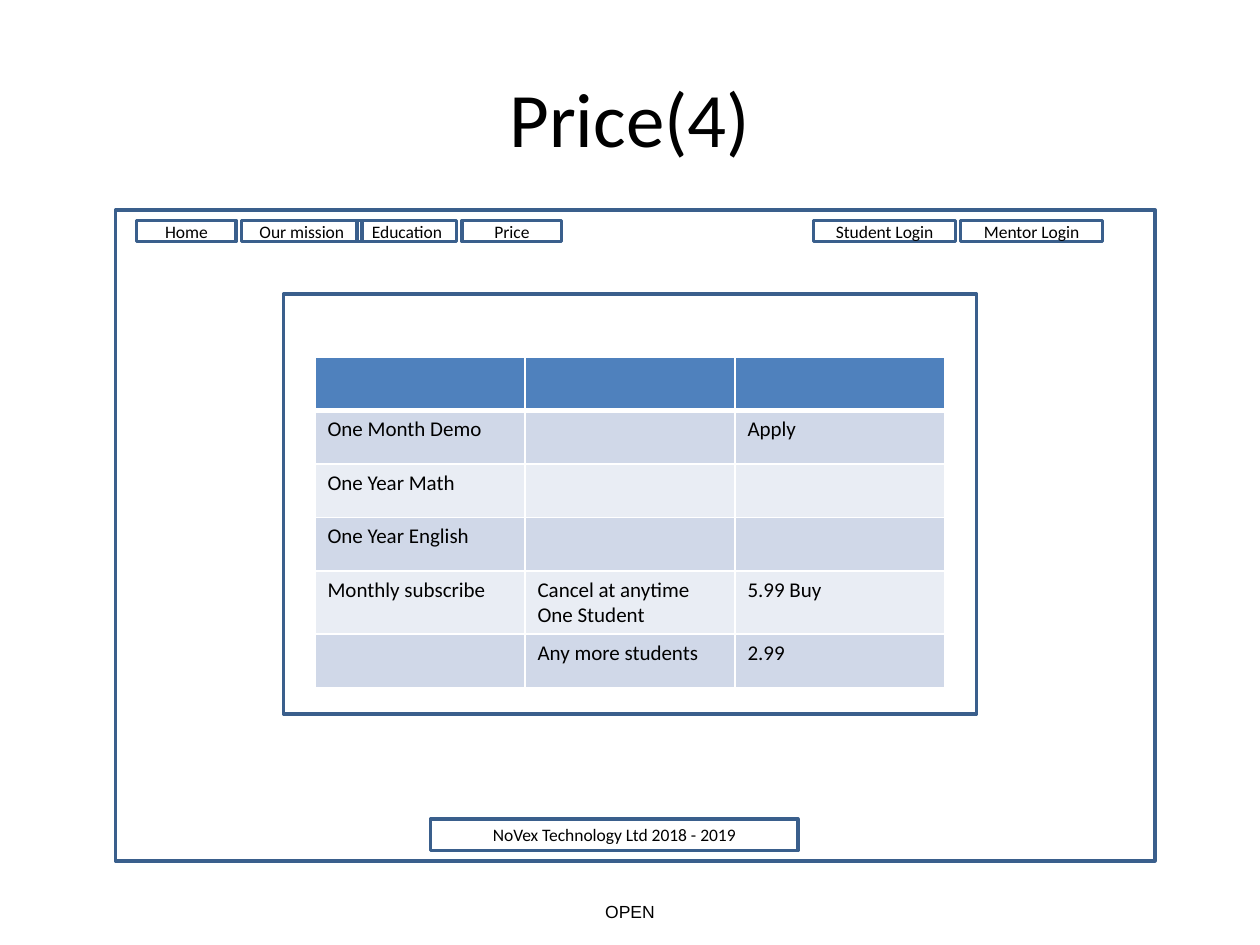
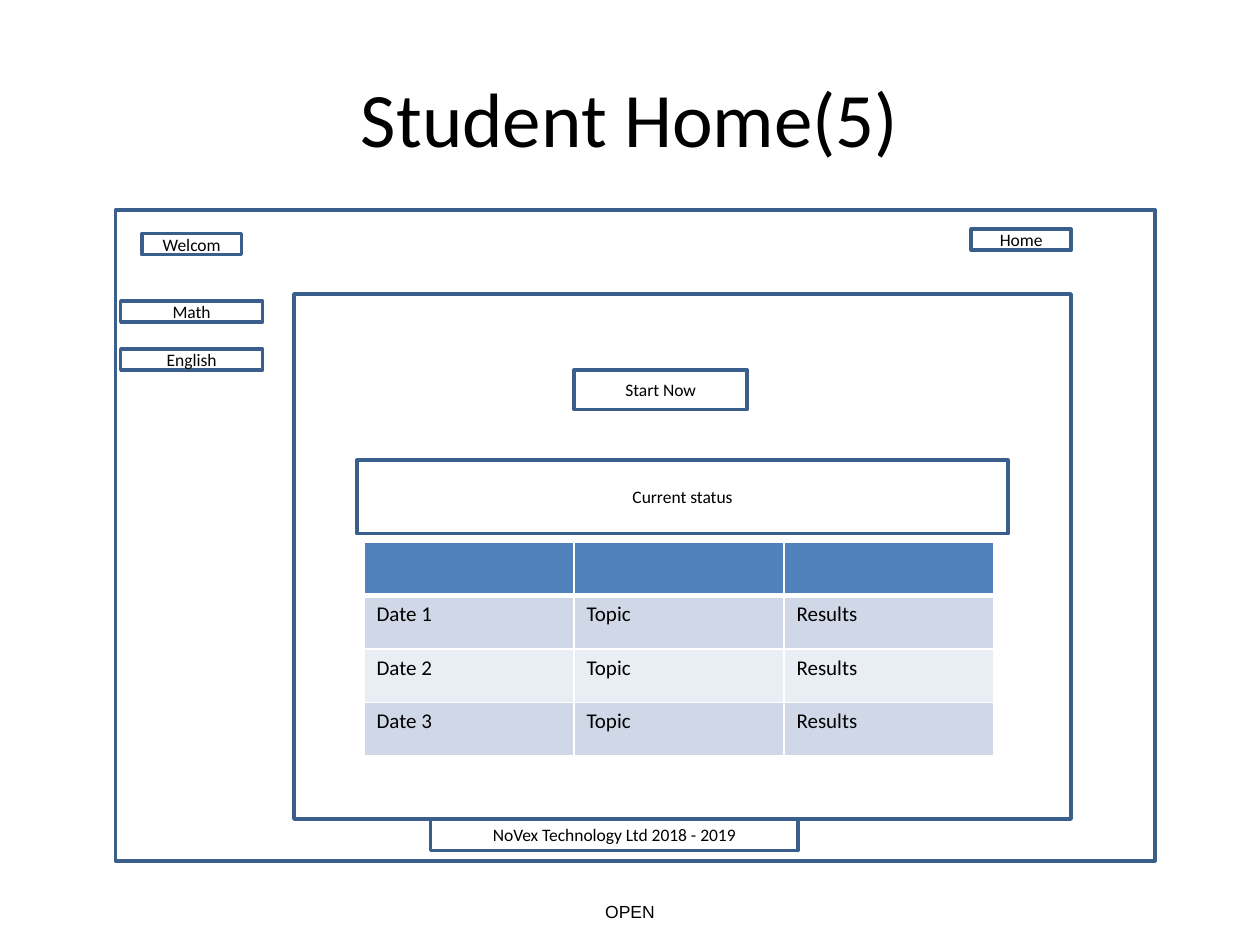
from lxml import etree
from pptx import Presentation
from pptx import util as u
from pptx.dml import color
from pptx.enum import shapes, text
from pptx.oxml import ns

COLORS = {"ink": "000000", "line": "3A5F8C", "head": "4F81BD",
          "odd": "D0D8E8", "even": "E9EDF4", "rule": "FFFFFF"}
FORMATS = {
    "title": {"name": "Calibri", "size": u.Pt(44)},
    "label": {"name": "Calibri", "size": u.Pt(10)},
    "cell": {"name": "Calibri", "size": u.Pt(12)},
    "marking": {"name": "Arial", "size": u.Pt(10)},
}
CENTER = text.PP_ALIGN.CENTER
TOP, MIDDLE = text.MSO_ANCHOR.TOP, text.MSO_ANCHOR.MIDDLE
COLUMN_WIDTH, ROW_HEIGHT = 120, 30.6
BUTTON_HEIGHT = 12

# Shared parts: left, top, width, height in points
TITLE_AT = (36, 21.6, 648, 90)
MARKING = ("OPEN", (0, 511.2, 720, 31.7))
PAGE_FRAME = ("", (66, 120, 594, 372))
COPYRIGHT = ("NoVex Technology Ltd 2018 - 2019", (246, 468, 210, 18))

# Content: boxes from back to front, then the table
SLIDES = [
    {
        "title": "Price(4)",
        "boxes": [
            ("Home", (78, 126, 57, BUTTON_HEIGHT)),
            ("Our mission", (138, 126, 69, BUTTON_HEIGHT)),
            ("Education", (204, 126, 57, BUTTON_HEIGHT)),
            ("Price", (264, 126, 57, BUTTON_HEIGHT)),
            ("Student Login", (465, 126, 81, BUTTON_HEIGHT)),
            ("Mentor Login", (549, 126, 81, BUTTON_HEIGHT)),
            ("", (162, 168, 396, 240)),
        ],
        "table_at": (180, 204),
        "rows": [
            ("", "", ""),
            ("One Month Demo", "", "Apply"),
            ("One Year Math", "", ""),
            ("One Year English", "", ""),
            ("Monthly subscribe", "Cancel at anytime\nOne Student", "5.99 Buy"),
            ("", "Any more students", "2.99"),
        ],
    },
    {
        "title": "Student Home(5)",
        "boxes": [
            ("Home", (555, 131, 57, BUTTON_HEIGHT)),
            ("Start Now", (328, 211.5, 99, 22.5)),
            ("Math", (69, 172, 81, BUTTON_HEIGHT)),
            ("English", (69, 199.5, 81, BUTTON_HEIGHT)),
            ("Welcom", (81, 133.5, 57, BUTTON_HEIGHT)),
            ("", (168, 168, 444, 300)),
            ("Current status", (204, 263, 372, 42)),
        ],
        "table_at": (208, 309.6),
        "rows": [("", "", "")] + [(f"Date {n}", "Topic", "Results") for n in (1, 2, 3)],
    },
]


def rgb(key):
    return color.RGBColor.from_string(COLORS[key])


def points(values):
    return [u.Pt(v) for v in values]


def write(tf, content, style, align=None):
    tf.text = content
    for p in tf.paragraphs:
        p.alignment = align
        for r in p.runs:
            for name, value in FORMATS[style].items():
                setattr(r.font, name, value)
            r.font.color.rgb = rgb("ink")


def add_text(slide, content, at, style, anchor):
    tf = slide.shapes.add_textbox(*points(at)).text_frame
    tf.word_wrap = True
    tf.vertical_anchor = anchor
    write(tf, content, style, CENTER)


def add_box(slide, content, at):
    sp = slide.shapes.add_shape(shapes.MSO_SHAPE.RECTANGLE, *points(at))
    sp.shadow.inherit = False
    sp.fill.background()
    sp.line.color.rgb = rgb("line")
    sp.line.width = u.Pt(2)
    if content:
        sp.text_frame.vertical_anchor = MIDDLE
        write(sp.text_frame, content, "label", CENTER)


def add_borders(cell, widths):
    tc_pr = cell._tc.get_or_add_tcPr()
    for side, width in widths.items():
        ln = etree.SubElement(tc_pr, ns.qn(f"a:ln{side}"), w=str(u.Pt(width)))
        fill = etree.SubElement(ln, ns.qn("a:solidFill"))
        etree.SubElement(fill, ns.qn("a:srgbClr"), val=COLORS["rule"])


def add_table(slide, rows, at):
    columns = len(rows[0])
    size = (columns * COLUMN_WIDTH, len(rows) * ROW_HEIGHT)
    table = slide.shapes.add_table(len(rows), columns, *points(at + size)).table
    for i, row in enumerate(rows):
        table.rows[i].height = u.Pt(ROW_HEIGHT)
        band = "head" if i == 0 else "odd" if i % 2 else "even"
        for j, content in enumerate(row):
            cell = table.cell(i, j)
            # The header is set off by a heavier rule below it
            add_borders(cell, {"L": 1, "R": 1, "T": 3 if i == 1 else 1,
                               "B": 3 if i == 0 else 1})
            cell.fill.solid()
            cell.fill.fore_color.rgb = rgb(band)
            if content:
                write(cell.text_frame, content, "cell")


prs = Presentation()
prs.slide_width, prs.slide_height = points((720, 540))

for page in SLIDES:
    s = prs.slides.add_slide(prs.slide_layouts[6])
    add_text(s, *MARKING, "marking", TOP)
    add_text(s, page["title"], TITLE_AT, "title", MIDDLE)
    for box in [PAGE_FRAME, *page["boxes"], COPYRIGHT]:
        add_box(s, *box)
    add_table(s, page["rows"], page["table_at"])

prs.save("out.pptx")
